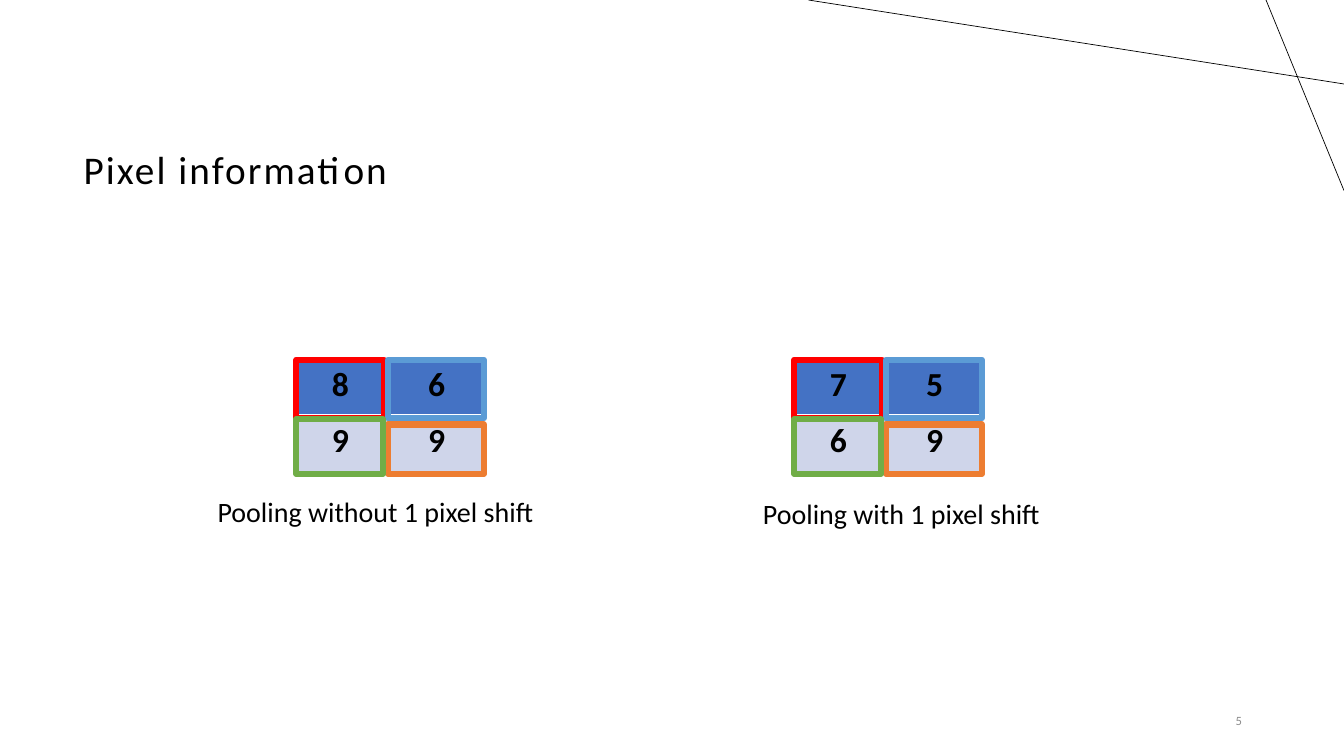
from dataclasses import dataclass

from lxml import etree
from pptx import Presentation
from pptx import util as u
from pptx.dml.color import RGBColor
from pptx.enum import shapes, text
from pptx.oxml import ns
from pptx.slide import Slide
from pptx.text.text import TextFrame

COLUMNS, ROWS = 160, 90
GRID_STEP = u.Inches(1) // 12


@dataclass(frozen=True)
class Theme:
    font: str = "Calibri"
    ink: str = "000000"
    muted: str = "8C8C8C"
    grid: str = "FFFFFF"
    row_fills: tuple[str, str] = ("4472C4", "CFD5EA")
    red: str = "FF0000"
    blue: str = "5B9BD5"
    orange: str = "ED7D31"
    green: str = "70AD47"
    title_size: float = 28
    value_size: float = 24
    caption_size: float = 20
    number_size: float = 9
    ring_width: float = 4.5
    rule_width: float = 0.5
    title_spacing: float = 1.5


@dataclass(frozen=True)
class Area:
    column: float
    row: float
    columns: float
    rows: float

    def emu(self) -> tuple[int, int, int, int]:
        return steps(self.column), steps(self.row), steps(self.columns), steps(self.rows)

    def inside(self, outer: "Area") -> "Area":
        return Area(outer.column + self.column, outer.row + self.row, self.columns, self.rows)


@dataclass(frozen=True)
class Ring:
    area: Area
    color: str


@dataclass(frozen=True)
class Pooling:
    matrix: Area
    values: tuple[tuple[int, int], tuple[int, int]]
    caption: str
    caption_area: Area


THEME = Theme()
RINGS = (
    Ring(Area(0.48, 0, 10.44, 6.96), THEME.red),
    Ring(Area(11.4, 0, 11.4, 6.96), THEME.blue),
    Ring(Area(11.4, 7.68, 11.4, 5.88), THEME.orange),
    Ring(Area(0.48, 7.08, 10.32, 6.48), THEME.green),
)
POOLINGS = (
    Pooling(Area(94.08, 42.84, 22.92, 13.32), ((7, 5), (6, 9)),
            "Pooling with 1 pixel shift", Area(89.64, 58.56, 38.04, 5.28)),
    Pooling(Area(34.8, 42.84, 22.92, 13.32), ((8, 6), (9, 9)),
            "Pooling without 1 pixel shift", Area(24.72, 58.32, 42.84, 5.28)),
)
CORNER_RULES = ((COLUMNS, 10, 96.24, 0), (150.72, 0, COLUMNS, 22.68))


def steps(count: float) -> int:
    return round(count * GRID_STEP)


def rgb(color: str) -> RGBColor:
    return RGBColor.from_string(color)


def write(frame: TextFrame, words: str, size: float, color: str = THEME.ink,
          align: text.PP_ALIGN = text.PP_ALIGN.LEFT, bold: bool = False):
    frame.text = words
    paragraph = frame.paragraphs[0]
    paragraph.alignment = align
    paragraph.font.name = THEME.font
    paragraph.font.size = u.Pt(size)
    paragraph.font.bold = bold
    paragraph.font.color.rgb = rgb(color)
    return paragraph


def draw_rule(slide: Slide, ends: tuple[float, float, float, float]) -> None:
    rule = slide.shapes.add_connector(shapes.MSO_CONNECTOR.STRAIGHT, *map(steps, ends))
    rule.line.color.rgb = rgb(THEME.ink)
    rule.line.width = u.Pt(THEME.rule_width)
    etree.SubElement(rule._element.spPr, ns.qn("a:effectLst"))


def draw_title(slide: Slide, words: str, area: Area) -> None:
    title = slide.shapes.title
    title.left, title.top, title.width, title.height = area.emu()
    frame = title.text_frame
    frame.auto_size = text.MSO_AUTO_SIZE.NONE
    frame.vertical_anchor = text.MSO_ANCHOR.MIDDLE
    paragraph = write(frame, words, THEME.title_size)
    paragraph.line_spacing = 0.9
    letters = paragraph._p.pPr.find(ns.qn("a:defRPr"))
    letters.set("spc", str(round(THEME.title_spacing * 100)))


def draw_page_number(slide: Slide, number: int, area: Area) -> None:
    frame = slide.shapes.add_textbox(*area.emu()).text_frame
    frame.word_wrap = True
    frame.vertical_anchor = text.MSO_ANCHOR.MIDDLE
    write(frame, str(number), THEME.number_size, THEME.muted, text.PP_ALIGN.RIGHT)


def set_borders(cell, bottom: float) -> None:
    properties = cell._tc.get_or_add_tcPr()
    for place, (side, width) in enumerate((("L", 1), ("R", 1), ("T", 1), ("B", bottom))):
        border = etree.Element(ns.qn(f"a:ln{side}"), w=str(u.Pt(width)))
        fill = etree.SubElement(border, ns.qn("a:solidFill"))
        etree.SubElement(fill, ns.qn("a:srgbClr"), val=THEME.grid)
        properties.insert(place, border)


def draw_matrix(slide: Slide, pooling: Pooling) -> None:
    matrix = slide.shapes.add_table(2, 2, *pooling.matrix.emu()).table
    matrix.first_row = matrix.horz_banding = False
    for row, values in enumerate(pooling.values):
        for column, value in enumerate(values):
            cell = matrix.cell(row, column)
            cell.fill.solid()
            cell.fill.fore_color.rgb = rgb(THEME.row_fills[row])
            set_borders(cell, bottom=3 if row == 0 else 1)
            write(cell.text_frame, str(value), THEME.value_size,
                  align=text.PP_ALIGN.CENTER, bold=True)


def draw_ring(slide: Slide, ring: Ring, matrix: Area) -> None:
    outline = slide.shapes.add_shape(shapes.MSO_SHAPE.RECTANGLE, *ring.area.inside(matrix).emu())
    outline.shadow.inherit = False
    outline.fill.background()
    outline.line.color.rgb = rgb(ring.color)
    outline.line.width = u.Pt(THEME.ring_width)


def draw_caption(slide: Slide, pooling: Pooling) -> None:
    frame = slide.shapes.add_textbox(*pooling.caption_area.emu()).text_frame
    frame.word_wrap = False
    frame.auto_size = text.MSO_AUTO_SIZE.SHAPE_TO_FIT_TEXT
    write(frame, pooling.caption, THEME.caption_size)


def main() -> None:
    deck = Presentation()
    deck.slide_width, deck.slide_height = steps(COLUMNS), steps(ROWS)
    slide = deck.slides.add_slide(deck.slide_layouts.get_by_name("Title Only"))
    for ends in CORNER_RULES:
        draw_rule(slide, ends)
    draw_title(slide, "Pixel information", Area(8.76, 11.76, 140.28, 17.4))
    draw_page_number(slide, 5, Area(113.04, 83.4, 36, 4.8))
    for pooling in POOLINGS:
        draw_matrix(slide, pooling)
        for ring in RINGS:
            draw_ring(slide, ring, pooling.matrix)
        draw_caption(slide, pooling)
    deck.save("out.pptx")


if __name__ == "__main__":
    main()
